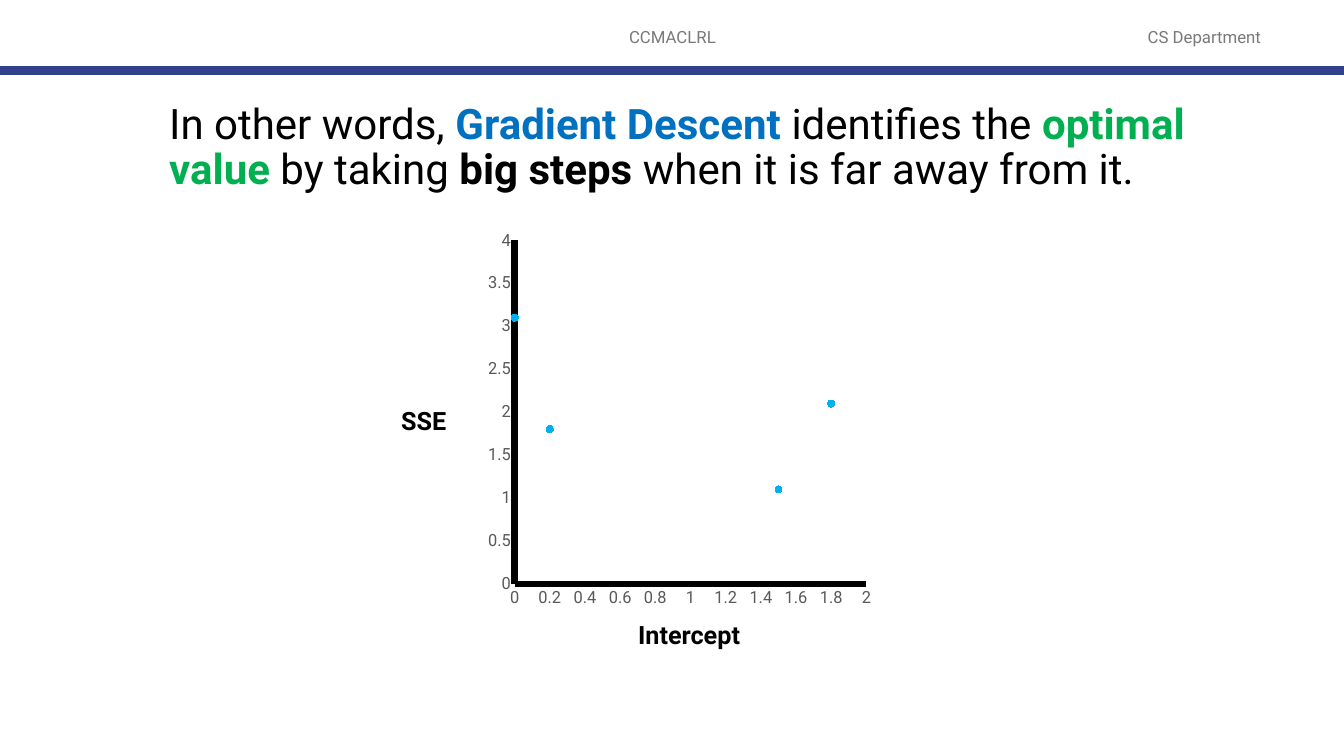
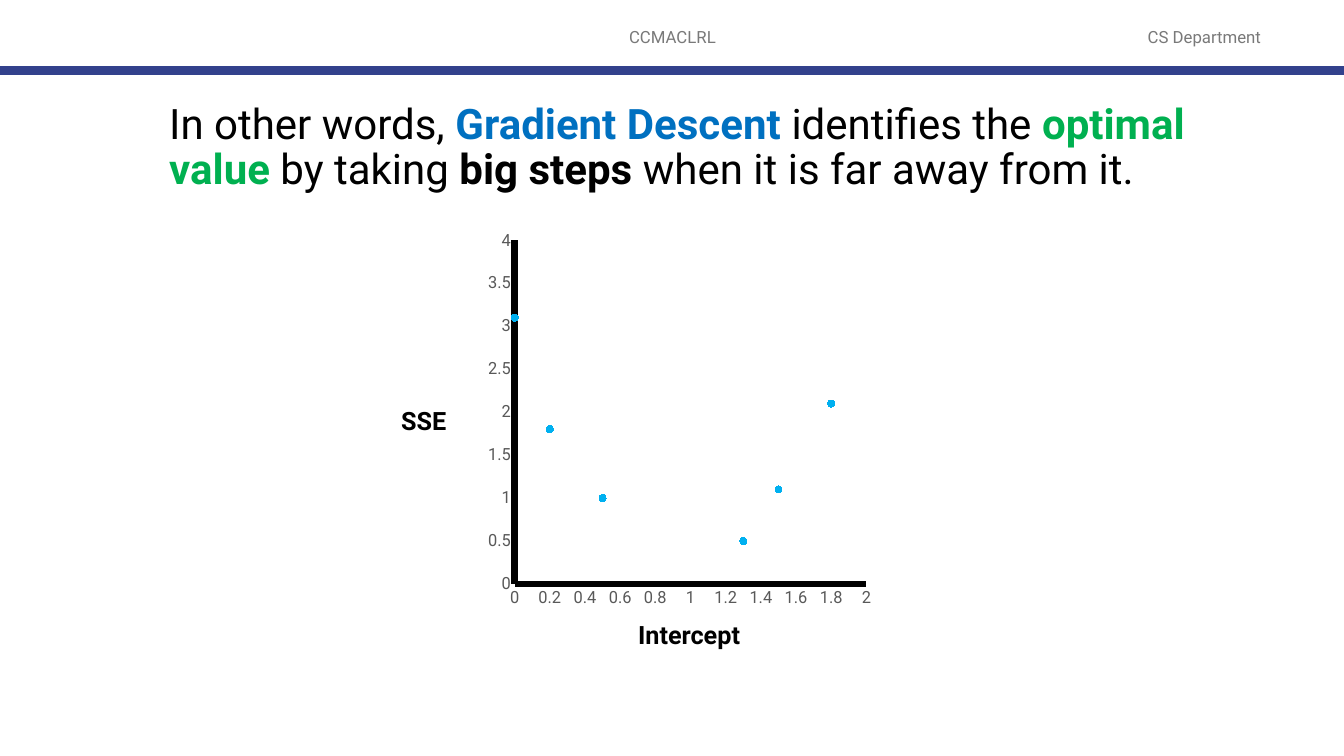
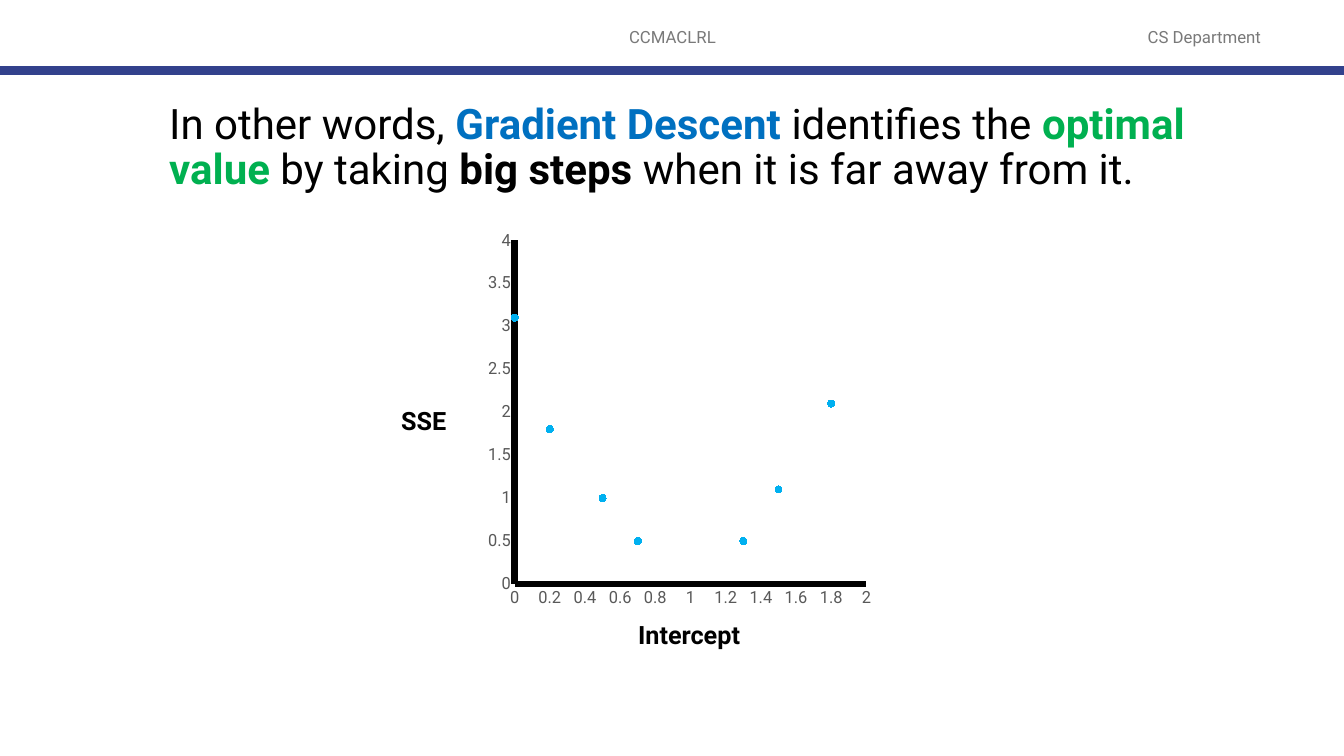
from dataclasses import dataclass
from typing import Any, NamedTuple, Optional

from lxml import etree
from pptx import Presentation
from pptx import util as u
from pptx.chart import data as chart_data
from pptx.dml.color import RGBColor
from pptx.enum import chart as charts
from pptx.enum import shapes, text
from pptx.oxml import ns


@dataclass(frozen=True)
class Theme:
    font: str = "Roboto"
    black: str = "000000"
    blue: str = "0070C0"
    green: str = "00B050"
    header_gray: str = "797979"
    tick_gray: str = "595959"
    band: str = "32418C"
    marker: str = "00B0F0"
    title_size: int = 30
    label_size: int = 18
    small_size: int = 12
    chart_size: int = 10
    band_width: int = 6
    axis_width: int = 5
    marker_size: int = 5


THEME = Theme()


class Box(NamedTuple):
    left: float
    top: float
    width: float
    height: float

    def lengths(self) -> tuple[u.Length, ...]:
        return tuple(u.Inches(value) for value in self)


class Run(NamedTuple):
    words: str
    color: str = THEME.black
    bold: bool = False


@dataclass(frozen=True)
class TextBlock:
    box: Box
    runs: tuple[Run, ...]
    size: int
    frame_format: dict[str, Any]
    paragraph_format: dict[str, Any]


class Axis(NamedTuple):
    maximum: float
    step: float


class Point(NamedTuple):
    intercept: Optional[float] = None
    sse: Optional[float] = None


HEADER_FRAME = {"vertical_anchor": text.MSO_ANCHOR.MIDDLE}
CENTERED = {"alignment": text.PP_ALIGN.CENTER}
GROWING = {"auto_size": text.MSO_AUTO_SIZE.SHAPE_TO_FIT_TEXT}

HEADERS = tuple(
    TextBlock(box, (Run(words, THEME.header_gray),), THEME.small_size, HEADER_FRAME, CENTERED)
    for words, box in (
        ("CCMACLRL", Box(4.42, 0.17, 4.5, 0.4)),
        ("CS Department", Box(10.92, 0.17, 2.05, 0.4)),
    )
)
AXIS_LABELS = tuple(
    TextBlock(box, (Run(words, bold=True),), THEME.label_size, GROWING, {})
    for words, box in (
        ("Intercept", Box(6.23, 6.09, 1.35, 0.4)),
        ("SSE", Box(3.88, 3.97, 0.96, 0.4)),
    )
)
TITLE = TextBlock(
    Box(1.58, 0.97, 10.32, 0.91),
    (
        Run("In other words, "),
        Run("Gradient Descent ", THEME.blue, True),
        Run("identifies the "),
        Run("optimal value", THEME.green, True),
        Run(" by taking "),
        Run("big steps ", bold=True),
        Run("when it is far away from it."),
    ),
    THEME.title_size,
    {},
    {"line_spacing": 0.9},
)

SLIDE_WIDTH, SLIDE_HEIGHT = 13.33, 7.5
BAND_TOP = 0.7
CHART_BOX = Box(4.84, 2.27, 3.8, 3.79)
PLOT_LAYOUT = {"x": 0.07, "y": 0.03, "w": 0.94, "h": 0.9}
INTERCEPT_AXIS = Axis(2, 0.2)
SSE_AXIS = Axis(4, 0.5)

# Rows of the data sheet; an empty point is a step not taken yet.
ROW_COUNT = 18
EMPTY = Point()
LEFT_START = (Point(0, 3.1), Point(0.2, 1.8))
RIGHT_START = (Point(1.5, 1.1), Point(1.8, 2.1))
LEFT_STEP, RIGHT_STEP = Point(0.5, 1), Point(1.3, 0.5)
STAGES = tuple(
    LEFT_START + middle + RIGHT_START
    for middle in (
        (EMPTY,) * 4,
        (LEFT_STEP, EMPTY, EMPTY, RIGHT_STEP),
        (LEFT_STEP, Point(0.7, 0.5), Point(sse=0.3), RIGHT_STEP),
    )
)


def set_attributes(target: Any, values: dict[str, Any]) -> None:
    for name, value in values.items():
        setattr(target, name, value)


def style_font(font: Any, size: int, color: str, bold: bool = False) -> None:
    set_attributes(font, {"name": THEME.font, "size": u.Pt(size), "bold": bold})
    font.color.rgb = RGBColor.from_string(color)


def style_line(line: Any, color: str, width: int) -> None:
    line.color.rgb = RGBColor.from_string(color)
    line.width = u.Pt(width)


def add_text(slide: Any, block: TextBlock) -> None:
    frame = slide.shapes.add_textbox(*block.box.lengths()).text_frame
    set_attributes(frame, {"word_wrap": True, **block.frame_format})
    paragraph = frame.paragraphs[0]
    set_attributes(paragraph, block.paragraph_format)
    for part in block.runs:
        run = paragraph.add_run()
        run.text = part.words
        style_font(run.font, block.size, part.color, part.bold)


def add_band(slide: Any) -> None:
    top = u.Inches(BAND_TOP)
    band = slide.shapes.add_connector(
        shapes.MSO_CONNECTOR.STRAIGHT, 0, top, u.Inches(SLIDE_WIDTH), top
    )
    style_line(band.line, THEME.band, THEME.band_width)
    etree.SubElement(band.element.spPr, ns.qn("a:effectLst"))


def style_axis(axis: Any, scale: Axis) -> None:
    set_attributes(axis, {
        "minimum_scale": 0,
        "maximum_scale": scale.maximum,
        "major_unit": scale.step,
        "has_major_gridlines": False,
        "has_title": False,
        "major_tick_mark": charts.XL_TICK_MARK.NONE,
        "minor_tick_mark": charts.XL_TICK_MARK.NONE,
    })
    style_line(axis.format.line, THEME.black, THEME.axis_width)
    style_font(axis.tick_labels.font, THEME.small_size, THEME.tick_gray)


def place_plot(chart: Any) -> None:
    """Fix the inner plot area as fractions of the chart."""
    plot_area = chart.element.find(".//" + ns.qn("c:plotArea"))
    for old_layout in plot_area.findall(ns.qn("c:layout")):
        plot_area.remove(old_layout)
    layout = etree.Element(ns.qn("c:layout"))
    manual = etree.SubElement(layout, ns.qn("c:manualLayout"))
    settings = {"layoutTarget": "inner", "xMode": "edge", "yMode": "edge", **PLOT_LAYOUT}
    for name, value in settings.items():
        etree.SubElement(manual, ns.qn(f"c:{name}"), val=str(value))
    plot_area.insert(0, layout)


def clear_empty_values(chart: Any) -> None:
    """Drop the cached entries that python-pptx writes for None."""
    for entry in list(chart.element.iter(ns.qn("c:pt"))):
        if entry.findtext(ns.qn("c:v")) in ("None", "", None):
            entry.getparent().remove(entry)


def add_scatter(slide: Any, points: tuple[Point, ...]) -> None:
    values = chart_data.XyChartData()
    series_values = values.add_series("Series 1")
    for point in points + (EMPTY,) * (ROW_COUNT - len(points)):
        series_values.add_data_point(point.intercept, point.sse)
    chart = slide.shapes.add_chart(
        charts.XL_CHART_TYPE.XY_SCATTER, *CHART_BOX.lengths(), values
    ).chart
    clear_empty_values(chart)
    set_attributes(chart, {"has_legend": False, "has_title": False})
    style_font(chart.font, THEME.chart_size, THEME.black)
    style_axis(chart.category_axis, INTERCEPT_AXIS)
    style_axis(chart.value_axis, SSE_AXIS)
    place_plot(chart)

    plot = chart.plots[0]
    plot.vary_by_categories = False
    series = plot.series[0]
    series.format.line.fill.background()
    marker = series.marker
    set_attributes(
        marker, {"style": charts.XL_MARKER_STYLE.CIRCLE, "size": THEME.marker_size}
    )
    marker_color = RGBColor.from_string(THEME.marker)
    marker.format.fill.solid()
    marker.format.fill.fore_color.rgb = marker_color
    marker.format.line.color.rgb = marker_color


def add_slide(presentation: Any, points: tuple[Point, ...]) -> None:
    slide = presentation.slides.add_slide(presentation.slide_layouts[6])
    for header in HEADERS:
        add_text(slide, header)
    add_band(slide)
    add_scatter(slide, points)
    for block in (*AXIS_LABELS, TITLE):
        add_text(slide, block)


def main() -> None:
    presentation = Presentation()
    presentation.slide_width = u.Inches(SLIDE_WIDTH)
    presentation.slide_height = u.Inches(SLIDE_HEIGHT)
    for points in STAGES:
        add_slide(presentation, points)
    presentation.save("out.pptx")


if __name__ == "__main__":
    main()
